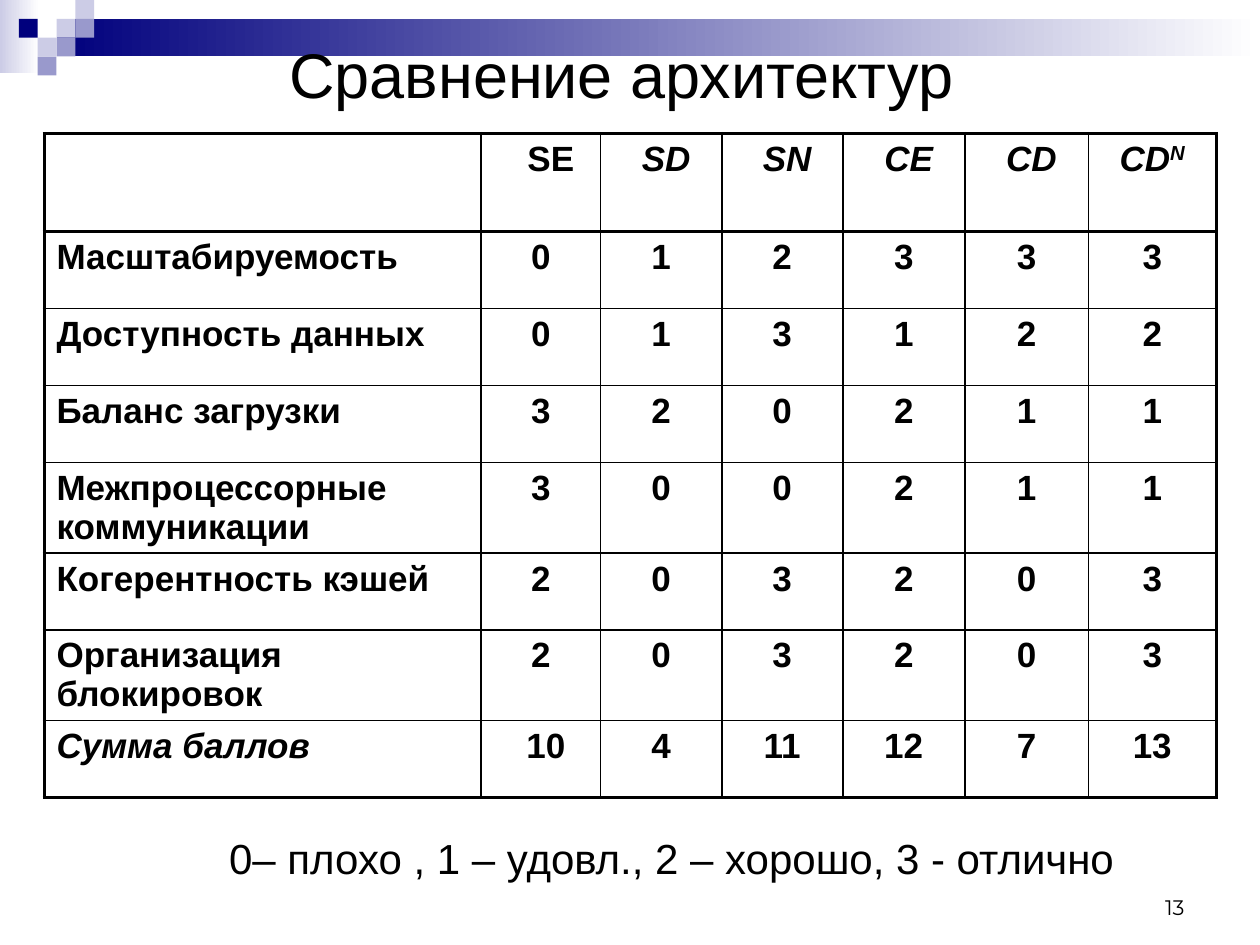
import lxml.etree
import pptx
import pptx.dml.color
import pptx.enum.shapes
import pptx.enum.text
import pptx.oxml.ns
import pptx.util

Cm = pptx.util.Cm
Pt = pptx.util.Pt
RGBColor = pptx.dml.color.RGBColor
ALIGN = pptx.enum.text.PP_ALIGN
ANCHOR = pptx.enum.text.MSO_ANCHOR

BLACK = RGBColor(0x00, 0x00, 0x00)
WHITE = RGBColor(0xFF, 0xFF, 0xFF)
NAVY = RGBColor(0x00, 0x00, 0x7D)
LILAC = RGBColor(0xCC, 0xCC, 0xE6)
VIOLET = RGBColor(0x99, 0x99, 0xCC)

COLUMN_WIDTHS = [8.81, 2.41, 2.44, 2.44, 2.46, 2.49, 2.58]
ROW_HEIGHTS = [1.98, 1.55, 1.55, 1.55, 1.78, 1.55, 1.55, 1.55]
ARCHITECTURES = ["SE", "SD", "SN", "CE", "CD", "CD"]
SCORES = [
    ("Масштабируемость", 0, 1, 2, 3, 3, 3),
    ("Доступность данных", 0, 1, 3, 1, 2, 2),
    ("Баланс загрузки", 3, 2, 0, 2, 1, 1),
    ("Межпроцессорные коммуникации", 3, 0, 0, 2, 1, 1),
    ("Когерентность кэшей", 2, 0, 3, 2, 0, 3),
    ("Организация блокировок", 2, 0, 3, 2, 0, 3),
    ("Сумма баллов", 10, 4, 11, 12, 7, 13),
]
# Extra left margin, in cm, of cells whose text sits right of centre
INDENTS = {(0, 1): 0.4, (0, 2): 0.2, (0, 3): 0.2, (0, 4): 0.2, (0, 5): 0.2, (7, 1): 0.2}


def write(paragraph, text, size=20, font="Arial", bold=False, italic=False,
          align=ALIGN.LEFT, superscript=False):
    paragraph.alignment = align
    run = paragraph.add_run()
    run.text = text
    run.font.size = Pt(size)
    run.font.name = font
    run.font.bold = bold
    run.font.italic = italic
    run.font.color.rgb = BLACK
    if superscript:
        run._r.get_or_add_rPr().set("baseline", "30000")


def set_borders(cell, widths):
    """Widths in points, in the order left, right, top, bottom."""
    properties = cell._tc.get_or_add_tcPr()
    for position, (side, width) in enumerate(zip("LRTB", widths)):
        line = lxml.etree.Element(pptx.oxml.ns.qn(f"a:ln{side}"), w=str(int(Pt(width))))
        fill = lxml.etree.SubElement(line, pptx.oxml.ns.qn("a:solidFill"))
        lxml.etree.SubElement(fill, pptx.oxml.ns.qn("a:srgbClr"), val=str(BLACK))
        properties.insert(position, line)


class SlideBuilder:
    def __init__(self, presentation):
        self.slide = presentation.slides.add_slide(presentation.slide_layouts[5])

    def rectangle(self, left, top, width, height, color, fade_to=None):
        shape = self.slide.shapes.add_shape(
            pptx.enum.shapes.MSO_SHAPE.RECTANGLE, Cm(left), Cm(top), Cm(width), Cm(height))
        shape.shadow.inherit = False
        shape.line.fill.background()
        if fade_to is None:
            shape.fill.solid()
            shape.fill.fore_color.rgb = color
            return
        shape.fill.gradient()
        shape.fill.gradient_angle = 0
        for stop, position, stop_color in zip(shape.fill.gradient_stops, (0, 1), (color, fade_to)):
            stop.position = position
            stop.color.rgb = stop_color

    def title(self, text, left, top, width, height):
        shape = self.slide.shapes.title
        shape.left, shape.top, shape.width, shape.height = Cm(left), Cm(top), Cm(width), Cm(height)
        frame = shape.text_frame
        frame.vertical_anchor = ANCHOR.MIDDLE
        frame.margin_right = Cm(0.6)
        write(frame.paragraphs[0], text, size=36, align=ALIGN.CENTER)
        # Bring the title in front of the band
        self.slide.shapes._spTree.append(shape._element)

    def text(self, text, left, top, width, height, anchor=ANCHOR.TOP, **style):
        shape = self.slide.shapes.add_textbox(Cm(left), Cm(top), Cm(width), Cm(height))
        shape.text_frame.word_wrap = True
        shape.text_frame.vertical_anchor = anchor
        write(shape.text_frame.paragraphs[0], text, **style)

    def score_table(self, left, top):
        last_row, last_column = len(ROW_HEIGHTS) - 1, len(COLUMN_WIDTHS) - 1
        table = self.slide.shapes.add_table(
            last_row + 1, last_column + 1, Cm(left), Cm(top),
            Cm(sum(COLUMN_WIDTHS)), Cm(sum(ROW_HEIGHTS))).table
        table.first_row = table.horz_banding = False
        for column, width in zip(table.columns, COLUMN_WIDTHS):
            column.width = Cm(width)
        for row, height in zip(table.rows, ROW_HEIGHTS):
            row.height = Cm(height)

        # Thick frame and header rule, medium rule above the totals
        vertical = [2] + [1] * last_column + [2]
        horizontal = [2, 2] + [0.75] * (last_row - 2) + [1, 2]
        for r, values in enumerate([("", *ARCHITECTURES), *SCORES]):
            for c, value in enumerate(values):
                cell = table.cell(r, c)
                cell.fill.background()
                set_borders(cell, (vertical[c], vertical[c + 1], horizontal[r], horizontal[r + 1]))
                cell.margin_left = Cm(0.25 + INDENTS.get((r, c), 0))
                if value != "":
                    write(cell.text_frame.paragraphs[0], str(value), bold=True,
                          italic=(r == 0 and c > 1) or (r == last_row and c == 0),
                          align=ALIGN.CENTER if c else ALIGN.LEFT)
        write(table.cell(0, last_column).text_frame.paragraphs[0], "N", bold=True,
              italic=True, align=ALIGN.CENTER, superscript=True)


def main():
    presentation = pptx.Presentation()
    presentation.slide_width, presentation.slide_height = Cm(25.4), Cm(19.05)
    builder = SlideBuilder(presentation)

    # Fading band with a mosaic of squares
    builder.rectangle(0, 0, 0.79, 1.47, LILAC, fade_to=WHITE)
    builder.rectangle(1.14, 0.38, 24.26, 0.76, NAVY, fade_to=WHITE)
    square = 0.38
    for column, row, color in [(3, 1, LILAC), (4, 0, LILAC), (4, 1, VIOLET), (2, 2, LILAC),
                               (1, 1, NAVY), (3, 2, VIOLET), (2, 3, VIOLET)]:
        builder.rectangle(column * square, row * square, square, square, color)

    # Title, scores and legend
    builder.title("Сравнение архитектур", 1.27, 0.58, 22.86, 1.78)
    builder.score_table(0.89, 2.69)
    builder.text("0– плохо , 1 – удовл., 2 – хорошо, 3 - отлично",
                 4.37, 16.66, 20.45, 1.3, size=24)

    # Slide number
    builder.text("13", 18.21, 17.35, 5.92, 1.32, anchor=ANCHOR.BOTTOM,
                 size=12, font="Montserrat", align=ALIGN.RIGHT)
    presentation.save("out.pptx")


if __name__ == "__main__":
    main()
